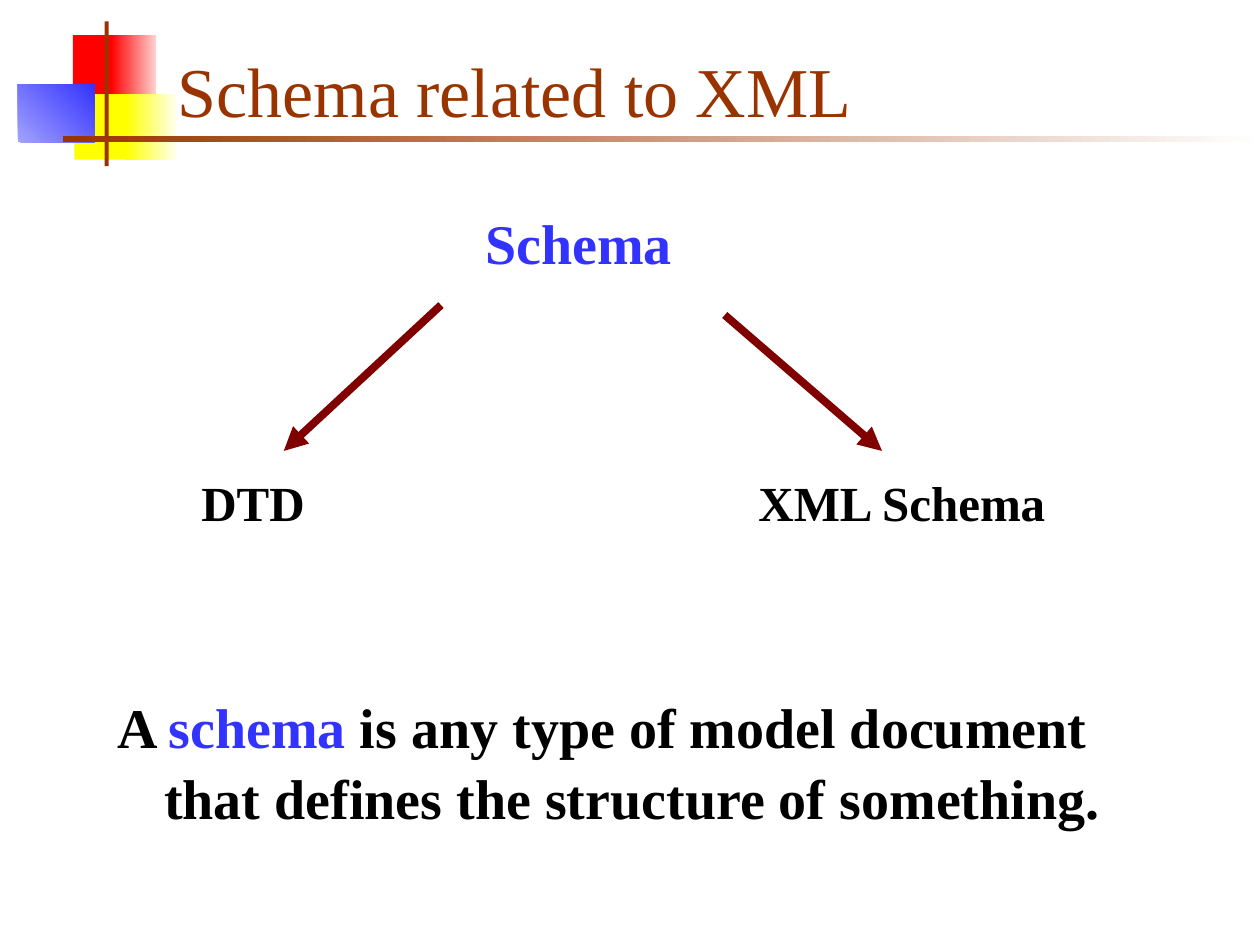
import dataclasses

import pptx
import pptx.dml.color
import pptx.enum.shapes
import pptx.enum.text
import pptx.oxml.ns
import pptx.util
from lxml import etree

Cm = pptx.util.Cm
Pt = pptx.util.Pt
rgb = pptx.dml.color.RGBColor.from_string
qn = pptx.oxml.ns.qn


@dataclasses.dataclass(frozen=True)
class Theme:
    """Colours, font and type sizes of the slide."""
    font: str = "Times New Roman"
    rust: str = "993300"
    maroon: str = "800000"
    blue: str = "3333FF"
    pale_blue: str = "A2A2FF"
    red: str = "FF0000"
    pale_red: str = "FFD1D1"
    yellow: str = "FFFF00"
    pale_yellow: str = "FFFFF0"
    black: str = "000000"
    white: str = "FFFFFF"
    title: int = 40
    large: int = 32
    medium: int = 28


class Deck:
    """Draws styled elements on the current slide."""

    def __init__(self, theme):
        self.theme = theme
        self.prs = pptx.Presentation()
        self.prs.slide_width, self.prs.slide_height = Cm(25.4), Cm(19.05)
        self.s = None

    def add_slide(self):
        """Start a title-only slide."""
        self.s = self.prs.slides.add_slide(self.prs.slide_layouts[5])

    def run(self, p, text, size, color, bold=False):
        """Add one styled run to a paragraph."""
        r = p.add_run()
        r.text = text
        r.font.name, r.font.size, r.font.bold = self.theme.font, Pt(size), bold
        r.font.color.rgb = rgb(color)

    def title(self, text, x, y, w, h):
        """Place and fill the title placeholder."""
        sp = self.s.shapes.title
        sp.left, sp.top, sp.width, sp.height = Cm(x), Cm(y), Cm(w), Cm(h)
        tf = sp.text_frame
        tf.vertical_anchor = pptx.enum.text.MSO_ANCHOR.BOTTOM
        p = tf.paragraphs[0]
        p.alignment = pptx.enum.text.PP_ALIGN.LEFT
        self.run(p, text, self.theme.title, self.theme.rust)

    def block(self, x, y, w, h, *colors, angle=0):
        """Draw a rectangle with a solid or two-colour gradient fill."""
        sp = self.s.shapes.add_shape(
            pptx.enum.shapes.MSO_SHAPE.RECTANGLE, Cm(x), Cm(y), Cm(w), Cm(h))
        sp.shadow.inherit = False
        sp.line.fill.background()
        if len(colors) == 1:
            sp.fill.solid()
            sp.fill.fore_color.rgb = rgb(colors[0])
        else:
            sp.fill.gradient()
            sp.fill.gradient_angle = angle
            for stop, color in zip(sp.fill.gradient_stops, colors):
                stop.color.rgb = rgb(color)

    def text(self, x, y, w, h, size, *runs):
        """Write a bold paragraph with a hanging indent."""
        tf = self.s.shapes.add_textbox(Cm(x), Cm(y), Cm(w), Cm(h)).text_frame
        tf.word_wrap = True
        p = tf.paragraphs[0]
        p.line_spacing = 1.05
        pPr = p._p.get_or_add_pPr()
        pPr.set("marL", str(Cm(0.95)))
        pPr.set("indent", str(-Cm(0.95)))
        for words, color in runs:
            self.run(p, words, size, color, bold=True)

    def arrow(self, x1, y1, x2, y2):
        """Draw a straight arrow."""
        line = self.s.shapes.add_connector(
            pptx.enum.shapes.MSO_CONNECTOR.STRAIGHT, Cm(x1), Cm(y1), Cm(x2), Cm(y2))
        line.line.color.rgb = rgb(self.theme.maroon)
        line.line.width = Pt(4.5)
        etree.SubElement(line.line._get_or_add_ln(), qn("a:tailEnd"), type="triangle")
        etree.SubElement(line._element.spPr, qn("a:effectLst"))


def main():
    """Build and save the slide."""
    t = Theme()
    deck = Deck(t)
    deck.add_slide()

    deck.block(1.47, 0.71, 0.89, 1.32, t.red)
    deck.block(2.24, 0.71, 0.91, 1.32, t.red, t.pale_red)
    deck.block(1.5, 1.9, 1.17, 1.32, t.yellow)
    deck.block(2.54, 1.9, 1.02, 1.32, t.yellow, t.pale_yellow)
    deck.block(0.36, 1.7, 1.55, 1.17, t.pale_blue, t.blue, angle=45)
    deck.block(2.11, 0.43, 0.08, 2.92, t.rust)
    deck.block(1.27, 2.74, 24.13, 0.13, t.rust, t.white)
    deck.title("Schema related to XML", 3.33, 0.43, 21.64, 2.34)

    deck.text(2.11, 13.77, 21.59, 2.97, t.large,
              ("A ", t.black), ("schema", t.blue),
              (" is any type of model document that defines the structure of something.",
               t.black))
    deck.text(9.53, 4.01, 4.45, 1.63, t.large, ("Schema", t.blue))
    deck.text(3.81, 9.35, 3.18, 1.45, t.medium, ("DTD", t.black))
    deck.text(15.04, 9.35, 7.19, 1.45, t.medium, ("XML Schema", t.black))

    deck.arrow(8.89, 6.15, 5.72, 9.09)
    deck.arrow(14.61, 6.35, 17.78, 9.09)
    deck.prs.save("out.pptx")


if __name__ == "__main__":
    main()
